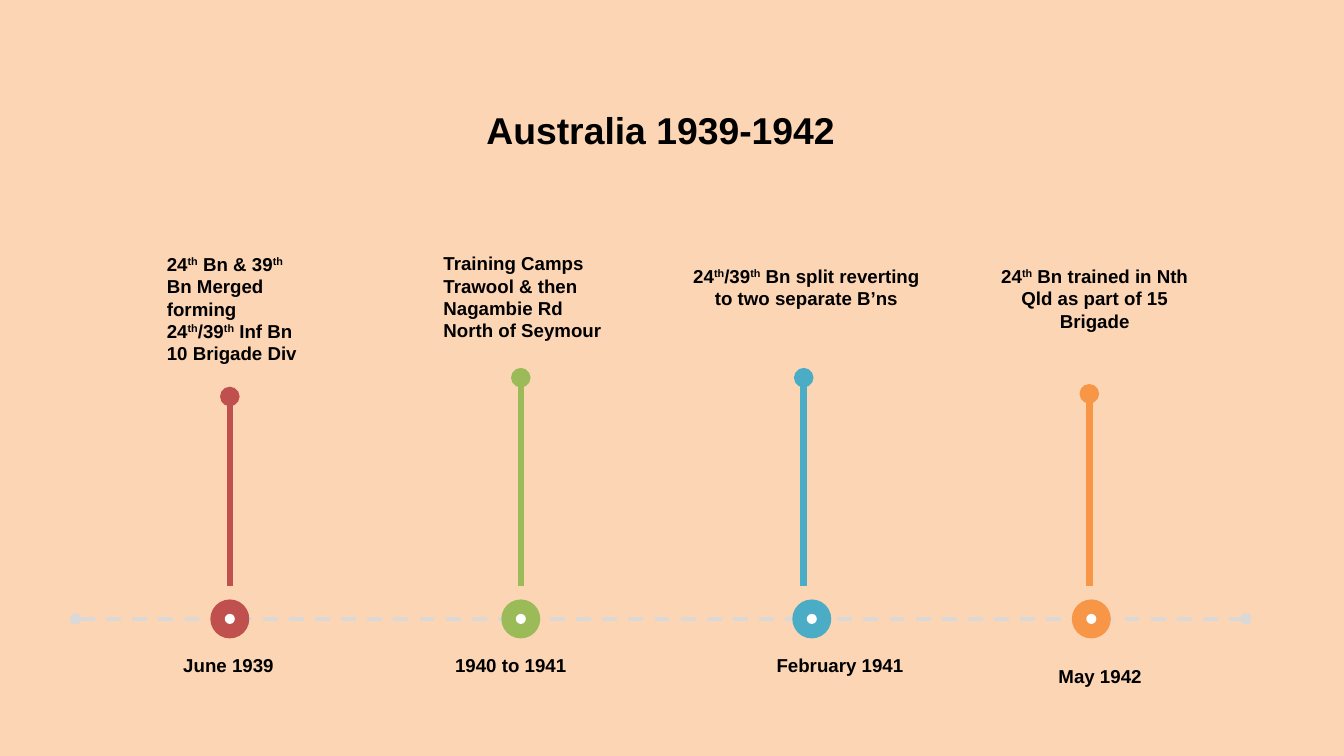
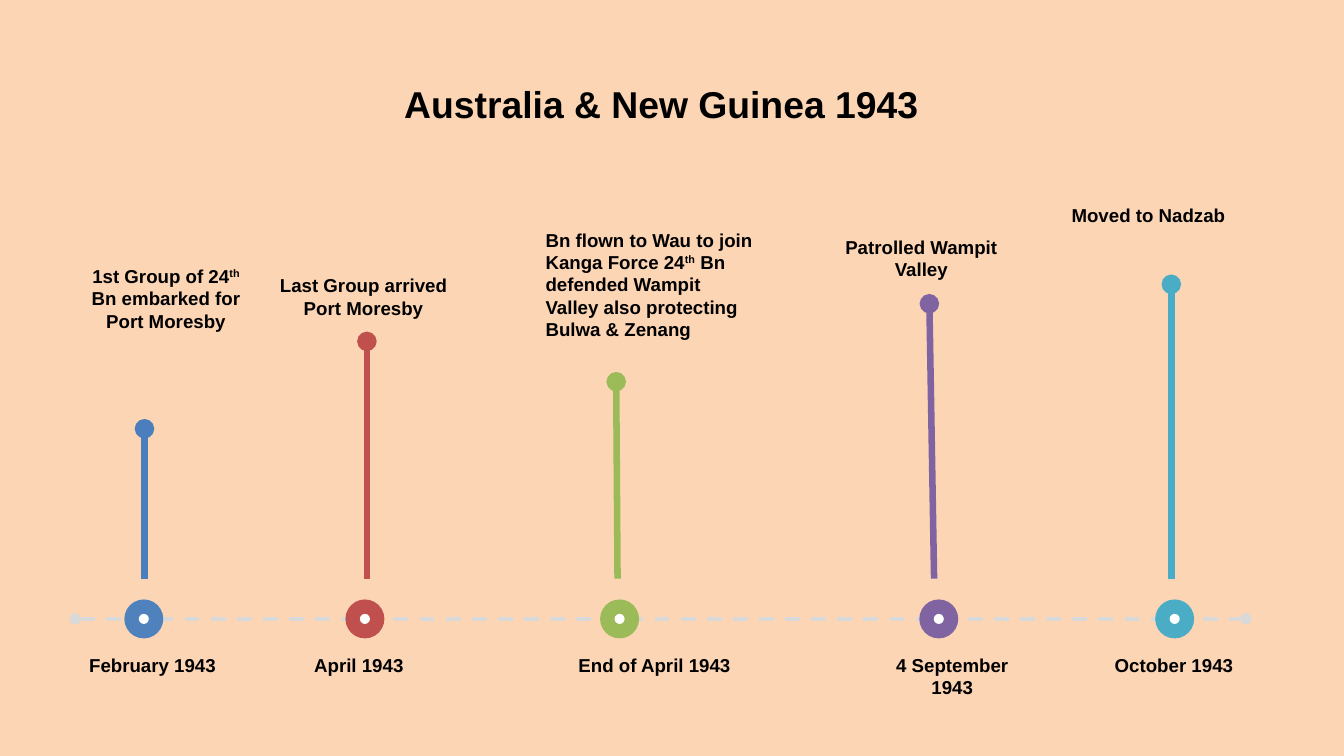
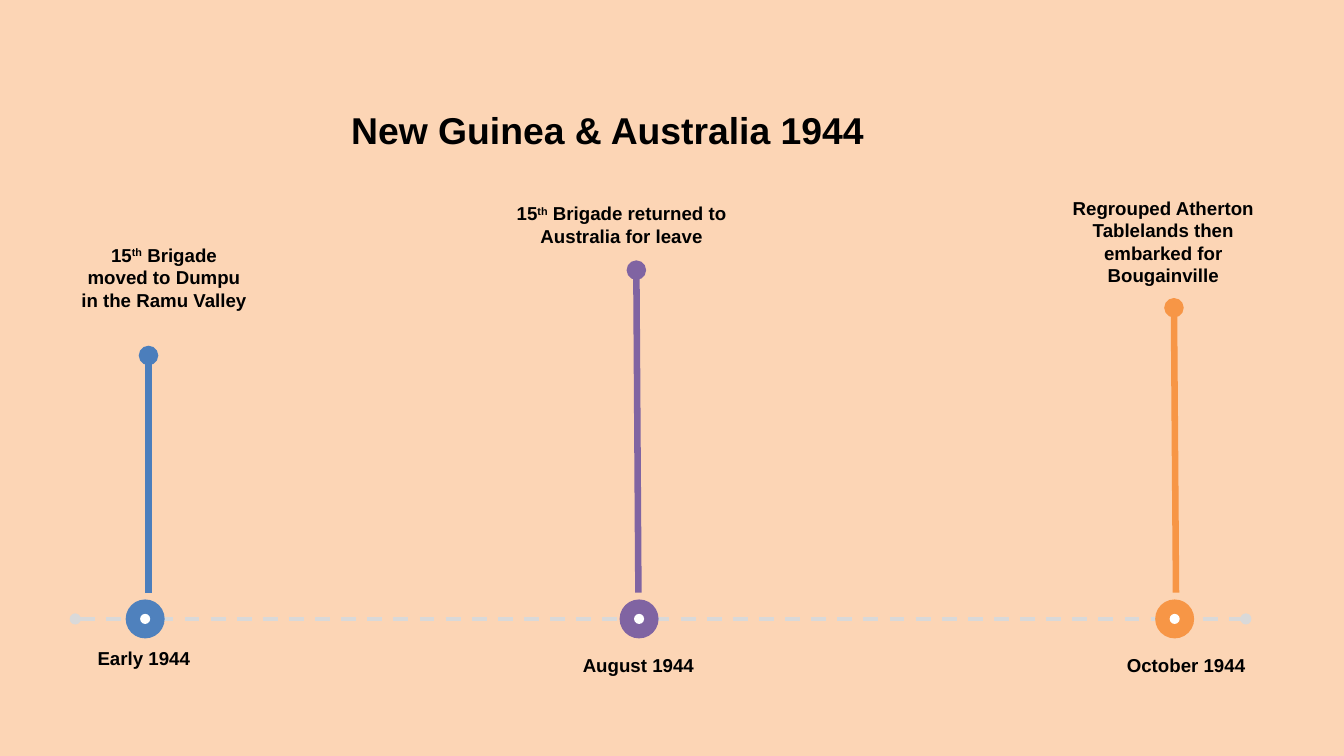
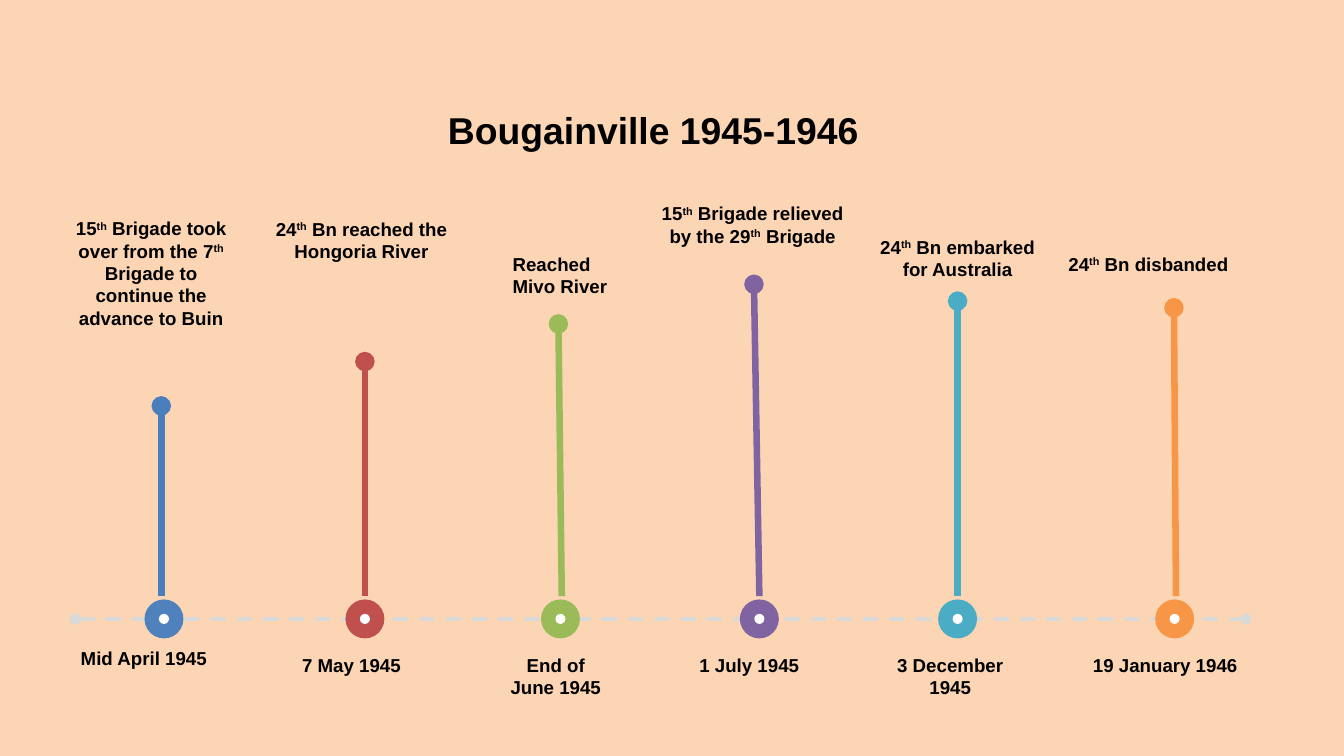
from collections import namedtuple

from pptx import Presentation
from pptx.dml.color import RGBColor
from pptx.enum import dml, shapes, text
from pptx.oxml.ns import qn
from pptx.util import Inches, Pt
from lxml import etree

PEACH = RGBColor.from_string("FCD5B5")
GREY = RGBColor.from_string("D9D9D9")
BLACK = RGBColor.from_string("000000")
WHITE = RGBColor.from_string("FFFFFF")
BLUE = RGBColor.from_string("4F81BD")
PIN_BLUE = RGBColor.from_string("4B7EBC")
RED = RGBColor.from_string("C0504D")
GREEN = RGBColor.from_string("9BBB59")
PURPLE = RGBColor.from_string("8064A2")
TEAL = RGBColor.from_string("4BACC6")
ORANGE = RGBColor.from_string("F79646")

FONT = "Arial"
DISC, DOT = 0.58, 0.15
AXIS_LEFT, AXIS_RIGHT, AXIS_Y = 1.12, 18.54, 9.21
LEFT, CENTER = text.PP_ALIGN.LEFT, text.PP_ALIGN.CENTER

# disc: centre x; pin: head x, head y[, lean of the foot]
# note: words, centre x, top, options; date: words, centre x, options
# Words between ^ are superscript.
Event = namedtuple("Event", "color disc pin note date")


def note(words, center, top, width=2.76, lines=2, align=CENTER):
    return words, center, top, width, lines, align


def date(words, center, top=9.68, width=2.6, lines=1):
    return words, center, top, width, lines, CENTER


# Each slide: title, title centre x, title top, foot of the pins, events
SLIDES = [
    ("Australia 1939-1942", 9.83, 1.55, 8.72, [
        Event(RED, 3.42, (3.42, 5.9),
              note("24^th^ Bn & 39^th^ Bn Merged forming 24^th^/39^th^ Inf Bn "
                   "10 Brigade Div", 3.47, 3.71, width=2.17, lines=5, align=LEFT),
              date("June 1939", 3.4)),
        Event(GREEN, 7.75, (7.75, 5.62),
              note("Training Camps Trawool & then Nagambie Rd North of Seymour",
                   7.88, 3.7, lines=4, align=LEFT),
              date("1940 to 1941", 7.6)),
        Event(TEAL, 12.08, (11.96, 5.62),
              note("24^th^/39^th^ Bn split reverting to two separate B’ns",
                   12, 3.89, width=3.67),
              date("February 1941", 12.5)),
        Event(ORANGE, 16.24, (16.21, 5.86),
              note("24^th^ Bn trained in Nth Qld as part of 15 Brigade",
                   16.29, 3.89, width=3.08, lines=3),
              date("May 1942", 16.37, top=9.84)),
    ]),
    ("Australia & New Guinea 1943", 9.84, 1.16, 8.61, [
        Event(BLUE, 2.14, (2.15, 6.38),
              note("1st Group of 24^th^ Bn embarked for Port Moresby",
                   2.47, 3.89, lines=3),
              date("February 1943", 2.27)),
        Event(RED, 5.43, (5.46, 5.08),
              note("Last Group arrived Port Moresby", 5.41, 4.03),
              date("April 1943", 5.34)),
        Event(GREEN, 9.22, (9.17, 5.68, 0.02),
              note("Bn flown to Wau to join Kanga Force 24^th^ Bn defended Wampit "
                   "Valley also protecting Bulwa & Zenang",
                   9.67, 3.35, width=3.3, lines=5, align=LEFT),
              date("End of April 1943", 9.74)),
        Event(PURPLE, 13.97, (13.83, 4.52, 0.07),
              note("Patrolled Wampit Valley", 13.71, 3.46),
              date("4 September 1943", 14.17, width=2.2, lines=2)),
        Event(TEAL, 17.48, (17.43, 4.23),
              note("Moved to Nadzab", 17.09, 2.98, lines=1),
              date("October 1943", 17.47)),
    ]),
    ("New Guinea & Australia 1944", 9.04, 1.55, 8.82, [
        Event(BLUE, 2.16, (2.21, 5.29),
              note("15^th^ Brigade moved to Dumpu in the Ramu Valley",
                   2.44, 3.58, width=2.69, lines=3),
              date("Early 1944", 2.14, top=9.57)),
        Event(PURPLE, 9.51, (9.47, 4.02, 0.03),
              note("15^th^ Brigade returned to Australia for leave",
                   9.25, 2.96, width=3.83),
              date("August 1944", 9.5)),
        Event(ORANGE, 17.48, (17.47, 4.58, 0.03),
              note("Regrouped Atherton Tablelands then embarked for Bougainville",
                   17.31, 2.88, width=3.28, lines=4),
              date("October 1944", 17.65)),
    ]),
    ("Bougainville 1945-1946", 9.72, 1.55, 8.87, [
        Event(BLUE, 2.44, (2.4, 6.04),
              note("15^th^ Brigade took over from the 7^th^ Brigade to continue "
                   "the advance to Buin", 2.25, 3.18, lines=5),
              date("Mid April 1945", 2.14, top=9.57)),
        Event(RED, 5.43, (5.43, 5.38),
              note("24^th^ Bn reached the Hongoria River", 5.38, 3.19, width=2.87),
              date("7 May 1945", 5.23)),
        Event(GREEN, 8.34, (8.31, 4.82, 0.05),
              note("Reached Mivo River", 8.39, 3.71, width=1.72, align=LEFT),
              date("End of June 1945", 8.27, width=1.77, lines=2)),
        Event(PURPLE, 11.3, (11.22, 4.23, 0.08),
              note("15^th^ Brigade relieved by the 29^th^ Brigade",
                   11.2, 2.96, width=3),
              date("1 July 1945", 11.15)),
        Event(TEAL, 14.25, (14.25, 4.48),
              note("24^th^ Bn embarked for Australia", 14.25, 3.46),
              date("3 December 1945", 14.14, width=2.2, lines=2)),
        Event(ORANGE, 17.48, (17.47, 4.58, 0.03),
              note("24^th^ Bn disbanded", 17.09, 3.71, lines=1),
              date("19 January 1946", 17.34)),
    ]),
]


def write(sp, words, size=20, align=CENTER):
    """Fill a shape with bold text; every second piece between ^ is raised."""
    tf = sp.text_frame
    tf.word_wrap = True
    tf.auto_size = text.MSO_AUTO_SIZE.SHAPE_TO_FIT_TEXT
    tf.vertical_anchor = text.MSO_ANCHOR.TOP
    p = tf.paragraphs[0]
    p.alignment = align
    for i, piece in enumerate(words.split("^")):
        r = p.add_run()
        r.text = piece
        r.font.name, r.font.size, r.font.bold = FONT, Pt(size), True
        r.font.color.rgb = BLACK
        if i % 2:
            r.font._element.set("baseline", "30000")


def add_label(s, words, center, top, width, lines, align):
    box = center - width / 2, top, width, 0.1 + 0.336 * lines
    write(s.shapes.add_textbox(*map(Inches, box)), words, align=align)


def add_circle(s, center, size, color):
    box = center - size / 2, AXIS_Y - size / 2, size, size
    sp = s.shapes.add_shape(shapes.MSO_SHAPE.OVAL, *map(Inches, box))
    sp.shadow.inherit = False
    sp.fill.solid()
    sp.fill.fore_color.rgb = color
    sp.line.fill.background()


def add_line(s, ends, color, width, caps, dash=None):
    """Draw a connector with an oval at each end named in caps."""
    sp = s.shapes.add_connector(shapes.MSO_CONNECTOR.STRAIGHT, *map(Inches, ends))
    sp.line.color.rgb = color
    sp.line.width = Pt(width)
    if dash:
        sp.line.dash_style = dash
    ln = sp.line._get_or_add_ln()
    for cap in caps:
        etree.SubElement(ln, qn(f"a:{cap}"), type="oval")
    etree.SubElement(sp._element.spPr, qn("a:effectLst"))


def add_pin(s, color, foot, x, y, lean=0):
    add_line(s, (x + lean, foot, x, y), PIN_BLUE if color == BLUE else color,
             7, ["tailEnd"])


def add_timeline(prs, title, center, top, foot, events):
    s = prs.slides.add_slide(prs.slide_layouts[5])
    sp = s.shapes.title
    width = 9.75
    sp.left, sp.top = Inches(center - width / 2), Inches(top)
    sp.width, sp.height = Inches(width), Inches(0.77)
    write(sp, title, size=40)
    add_line(s, (AXIS_LEFT, AXIS_Y, AXIS_RIGHT, AXIS_Y), GREY, 4,
             ["headEnd", "tailEnd"], dml.MSO_LINE.DASH)
    for e in events:
        add_circle(s, e.disc, DISC, e.color)
        add_circle(s, e.disc, DOT, WHITE)
        add_pin(s, e.color, foot, *e.pin)
        add_label(s, *e.note)
        add_label(s, *e.date)


def main():
    prs = Presentation()
    prs.slide_width, prs.slide_height = Inches(20), Inches(11.25)
    fill = prs.slide_master.background.fill
    fill.solid()
    fill.fore_color.rgb = PEACH
    for slide in SLIDES:
        add_timeline(prs, *slide)
    prs.save("out.pptx")


if __name__ == "__main__":
    main()
